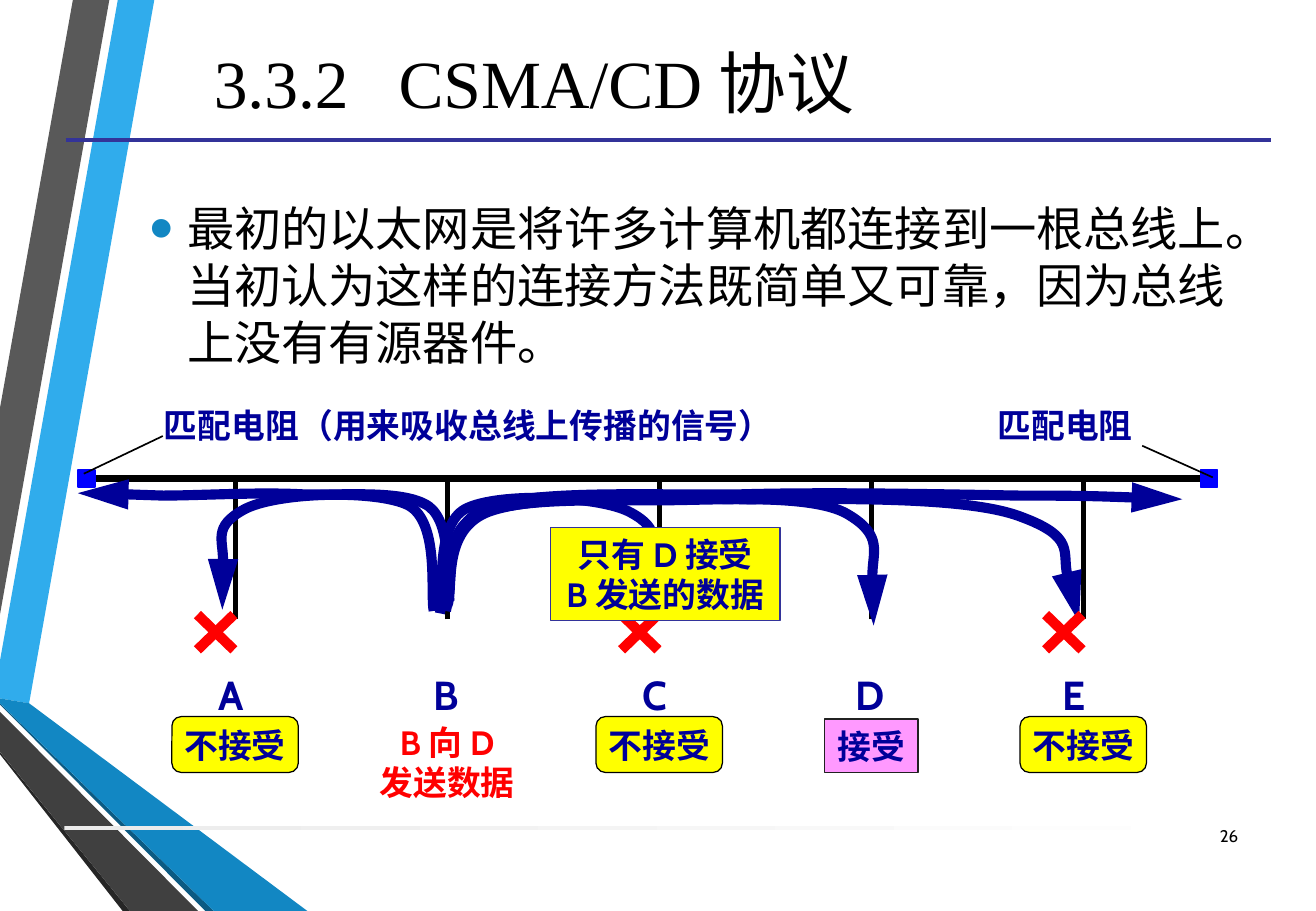
from dataclasses import dataclass

from lxml.etree import SubElement
from pptx import Presentation
from pptx.dml.color import RGBColor
from pptx.enum.lang import MSO_LANGUAGE_ID
from pptx.enum.shapes import MSO_CONNECTOR, MSO_SHAPE
from pptx.enum.text import MSO_ANCHOR, PP_ALIGN
from pptx.oxml.ns import qn
from pptx.util import Inches, Pt

COLUMNS, ROWS = 108.3, 75
CELL = Inches(0.1)
NAVY, RED, BLACK, YELLOW = "000099", "FF0000", "000000", "FFFF00"
RULE = "333399"
FIRST_STATION, STATION_GAP = 19.35, 17.45
BUS_ROW, DROP_END = 39.4, 51

Point = tuple[float, float]


@dataclass(frozen=True)
class Outline:
    points: list[Point]
    color: str


@dataclass(frozen=True)
class Station:
    letter: str
    letter_column: float
    rejects: bool


@dataclass(frozen=True)
class Segment:
    start: Point
    end: Point
    color: str
    width: float


RIBBONS = [
    Outline([(0, 54.4), (0, 57.5), (2.4, 57.9), (12.7, 0), (9.7, 0)], "30ACEC"),
    Outline([(9, 0), (6, 0), (0, 33.6), (0, 50.6)], "595959"),
    Outline([(0, 61.9), (0, 62.1), (10.1, 75), (10.7, 75)], "262626"),
    Outline([(0, 57.9), (0, 58), (16.9, 75), (17.6, 75)], "0C5A82"),
    Outline([(0, 57.9), (17.6, 75), (25.3, 75), (2.4, 57.9), (0, 57.5)], "1287C3"),
    Outline([(0, 61.9), (10.7, 75), (16.3, 75), (0, 58.6)], "404040"),
]
STATIONS = [
    Station("A", 19, True),
    Station("B", 36.7, False),
    Station("C", 53.9, True),
    Station("D", 71.6, False),
    Station("E", 88.4, True),
]
SIGNALS = [
    [(36.2, 50.5), (36.6, 49.1), (35.7, 43.3), (38.3, 41.9), (41, 40.5),
     (49.4, 40.8), (51.9, 42.2), (54.5, 43.6), (53.3, 48.7), (53.7, 50.4)],
    [(36.7, 50.3), (37.1, 49), (36.2, 44), (39.1, 42.5), (41.9, 41),
     (48.6, 41.2), (53.7, 41.2), (58.8, 41.2), (66.7, 40.6), (69.7, 42.3),
     (72.8, 44.1), (71.4, 49.6), (71.9, 51.5)],
    [(36.8, 49.9), (37.4, 48.6), (36.2, 43.6), (40.3, 42.1), (44.3, 40.7),
     (53.8, 41), (61, 41.1), (68.3, 41.1), (79.3, 40.8), (83.9, 42.5),
     (88.6, 44.2), (87.7, 49.4), (88.8, 51.2)],
    [(36.8, 49.5), (37.4, 48.2), (36.2, 43.2), (40.3, 41.7), (44.3, 40.3),
     (53.8, 40.8), (61, 40.7), (68.3, 40.5), (77.7, 40.7), (83.8, 40.8),
     (89.8, 40.8), (94.5, 41), (97.3, 41.1)],
    [(37, 49.5), (36.7, 48.2), (37.3, 43.2), (35.3, 41.7), (33.3, 40.3),
     (28.5, 40.8), (24.9, 40.7), (21.2, 40.5), (16.5, 40.8), (13.4, 40.8),
     (10.3, 40.7), (7.9, 40.6), (6.4, 40.6)],
    [(35.7, 50.3), (35.4, 48.8), (36.2, 43), (33.6, 41.6), (31, 40.3),
     (22.6, 40.5), (20, 42), (17.5, 43.4), (18.7, 48.5), (18.3, 50.2)],
]

deck = Presentation()
deck.slide_width, deck.slide_height = int(COLUMNS * CELL), ROWS * CELL
slide = deck.slides.add_slide(deck.slide_layouts[6])
shapes = slide.shapes


def grid(*cells: float) -> list[int]:
    return [round(cell * CELL) for cell in cells]


def paint(color: str) -> RGBColor:
    return RGBColor.from_string(color)


def write(holder, text: str, size: float = 20, color: str = NAVY, bold: bool = True,
          font: str = "Cabin", align=PP_ALIGN.CENTER, anchor=MSO_ANCHOR.MIDDLE,
          bullet: str = "", tab: float = 0) -> None:
    frame = holder.text_frame
    frame.word_wrap = True
    frame.vertical_anchor = anchor
    frame.margin_left = frame.margin_right = frame.margin_top = frame.margin_bottom = 0
    frame.text = text
    for paragraph in frame.paragraphs:
        paragraph.alignment = align
        properties = paragraph._p.get_or_add_pPr()
        if bullet:
            indent = grid(3.1)[0]
            properties.set("marL", str(indent))
            properties.set("indent", str(-indent))
            tint = SubElement(properties, qn("a:buClr"))
            SubElement(tint, qn("a:srgbClr"), val="1287C3")
            SubElement(properties, qn("a:buSzPct"), val="145000")
            SubElement(properties, qn("a:buFont"), typeface="Arial")
            SubElement(properties, qn("a:buChar"), char=bullet)
        if tab:
            stops = SubElement(properties, qn("a:tabLst"))
            SubElement(stops, qn("a:tab"), pos=str(grid(tab)[0]), algn="l")
        for run in paragraph.runs:
            run.font.size, run.font.bold, run.font.name = Pt(size), bold, font
            run.font.color.rgb = paint(color)
            run.font.language_id = MSO_LANGUAGE_ID.SIMPLIFIED_CHINESE


def caption(text: str, left: float, top: float, width: float, height: float, **style) -> None:
    write(shapes.add_textbox(*grid(left, top, width, height)), text, **style)


def block(left: float, top: float, width: float, height: float, fill: str,
          edge: str = "", weight: float = 0.75, kind=MSO_SHAPE.RECTANGLE):
    shape = shapes.add_shape(kind, *grid(left, top, width, height))
    shape.shadow.inherit = False
    shape.fill.solid()
    shape.fill.fore_color.rgb = paint(fill)
    if edge:
        shape.line.color.rgb = paint(edge)
        shape.line.width = Pt(weight)
    else:
        shape.line.fill.background()
    return shape


def connect(segment: Segment) -> None:
    wire = shapes.add_connector(MSO_CONNECTOR.STRAIGHT, *grid(*segment.start, *segment.end))
    wire.line.color.rgb = paint(segment.color)
    wire.line.width = Pt(segment.width)
    SubElement(wire.element.spPr, qn("a:effectLst"))


def trace(points: list[Point], close: bool):
    start, *rest = [grid(*point) for point in points]
    builder = shapes.build_freeform(*start)
    builder.add_line_segments(rest, close=close)
    shape = builder.convert_to_shape()
    shape.shadow.inherit = False
    return shape


def ribbon(outline: Outline) -> None:
    shape = trace(outline.points, close=True)
    shape.fill.solid()
    shape.fill.fore_color.rgb = paint(outline.color)
    shape.line.fill.background()


def signal(points: list[Point]) -> None:
    shape = trace(points, close=False)
    steps = shape.element.xpath(".//a:lnTo")
    for first in range(0, len(steps), 3):
        curve = SubElement(steps[first].getparent(), qn("a:cubicBezTo"))
        for step in steps[first:first + 3]:
            curve.append(step[0])
            step.getparent().remove(step)
    shape.fill.background()
    shape.line.color.rgb = paint(NAVY)
    shape.line.width = Pt(6)
    edge = shape.element.xpath(".//a:ln")[0]
    SubElement(edge, qn("a:tailEnd"), type="triangle", w="med", len="lg")


def cross(center: float) -> None:
    left, right, top, bottom = center - 1.5, center + 1.5, 50.6, 53.5
    connect(Segment((left, top), (right, bottom), RED, 6))
    connect(Segment((right, top), (left, bottom), RED, 6))


def main() -> None:
    for outline in RIBBONS:
        ribbon(outline)
    footer = block(5.3, 68, 97.5, 0.3, "EBEBEB")
    footer.fill.gradient()
    footer.fill.gradient_angle = 0
    for stop, color in zip(footer.fill.gradient_stops, ("EBEBEB", "FFFFFF")):
        stop.color.rgb = paint(color)
    connect(Segment((5.4, 11.5), (104.6, 11.5), RULE, 2.25))
    caption("3.3.2\tCSMA/CD 协议", 17.6, 0.5, 68, 12.4, size=40, color=BLACK, bold=False,
            font="Times New Roman", align=PP_ALIGN.LEFT, tab=15.2)
    caption("最初的以太网是将许多计算机都连接到一根总线上。当初认为这样的连接方法既简单又可靠，因为总线上没有有源器件。",
            12.3, 13.1, 89.3, 20.7, size=28, color=BLACK, bold=False,
            align=PP_ALIGN.LEFT, bullet="•")

    connect(Segment((7.6, BUS_ROW), (100.2, BUS_ROW), BLACK, 4.5))
    for left in (6.4, 98.8):
        block(left, BUS_ROW - 0.7, 1.4, 1.4, "0000FF", "0000FF", 1)
    connect(Segment((13.4, 35.9), (6.9, 39), BLACK, 1))
    connect(Segment((94, 36.7), (99.8, 39.3), BLACK, 1))
    caption("匹配电阻（用来吸收总线上传播的信号）", 13.5, 32.8, 53, 4.4, align=PP_ALIGN.LEFT)
    caption("匹配电阻", 82.1, 32.8, 13, 4.4, align=PP_ALIGN.LEFT)

    centers = [FIRST_STATION + STATION_GAP * index for index in range(len(STATIONS))]
    for center in centers:
        connect(Segment((center, DROP_END), (center, BUS_ROW), BLACK, 3))
    for points in SIGNALS:
        signal(points)
    for station, center in zip(STATIONS, centers):
        caption(station.letter, station.letter_column - 3, 54.7, 6, 5, size=24)
        if station.rejects:
            cross(center - 1.6)
            verdict = block(center - 5.2, 59, 10.4, 4.6, YELLOW, BLACK,
                            kind=MSO_SHAPE.ROUNDED_RECTANGLE)
            write(verdict, "不接受")

    sender, receiver = centers[1], centers[3]
    caption("B 向 D\n发送数据", sender - 8, 58.9, 16, 7.7, color=RED)
    write(block(receiver - 3.85, 59.2, 7.7, 4.4, "FF99FF", "212121"), "接受")
    write(block(45.3, 43.4, 18.9, 7.7, YELLOW, RULE), "只有 D 接受\nB 发送的数据")
    caption("26", 97.8, 66.8, 4.1, 4, size=10, color=BLACK, bold=False, align=PP_ALIGN.RIGHT)
    deck.save("out.pptx")


if __name__ == "__main__":
    main()
